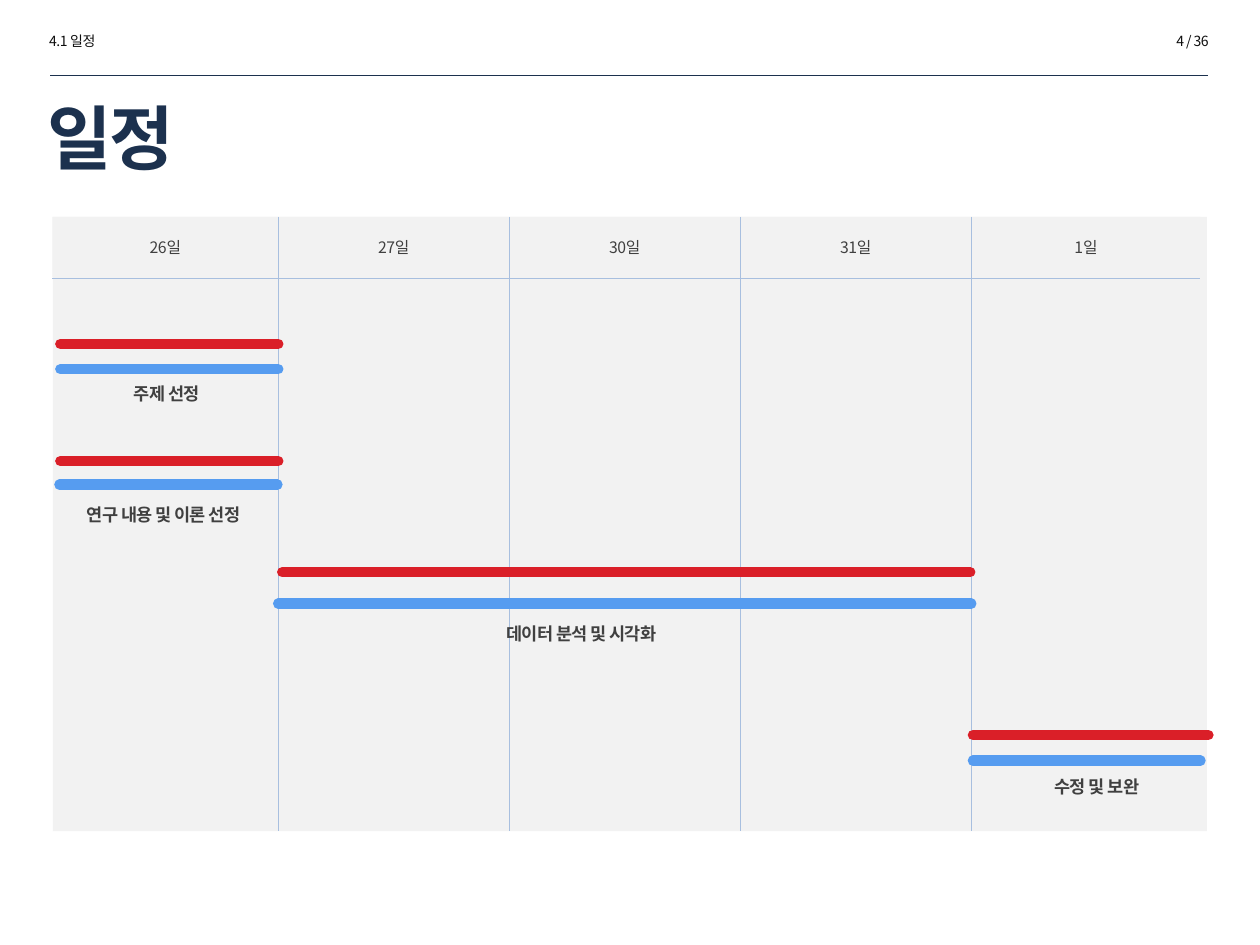
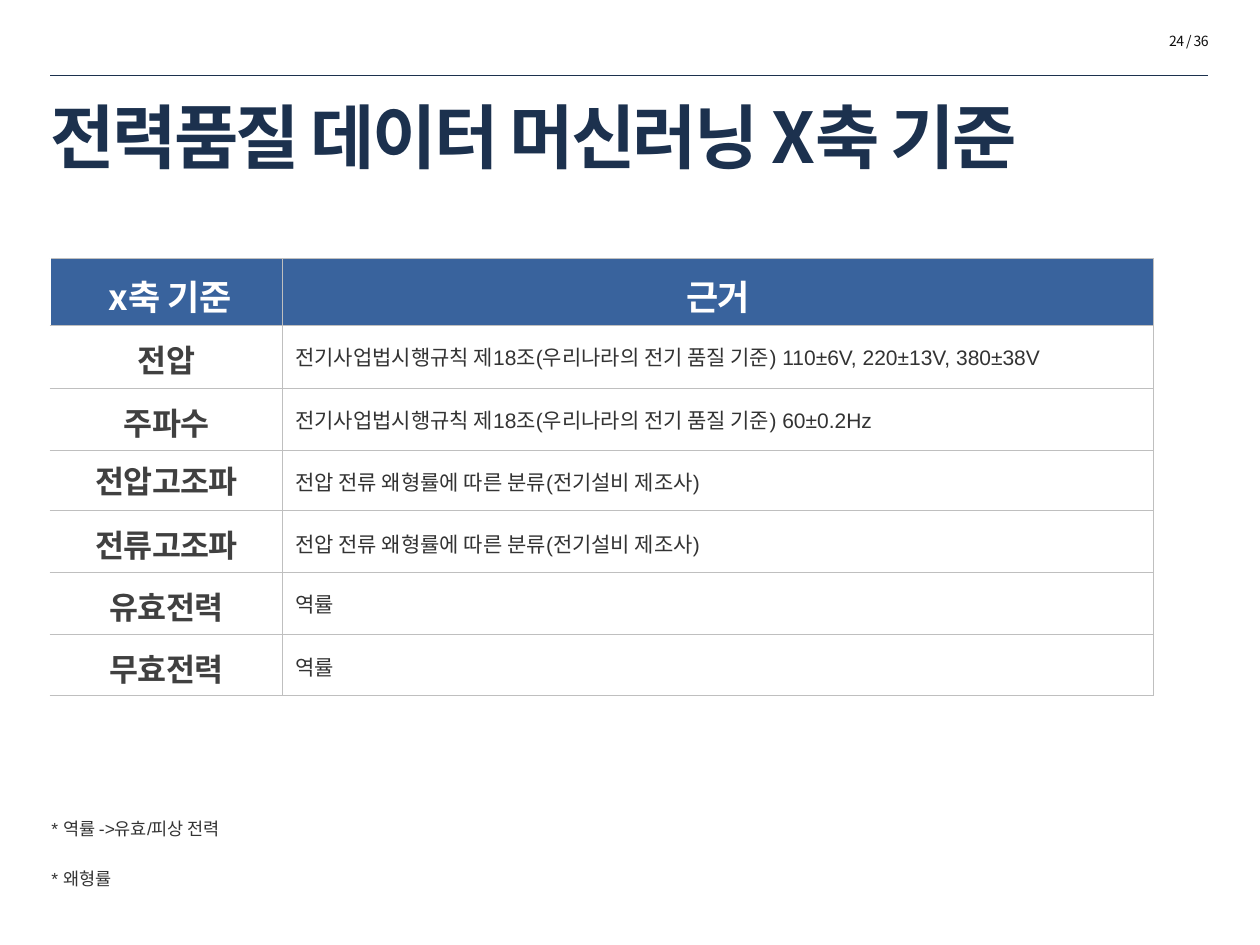
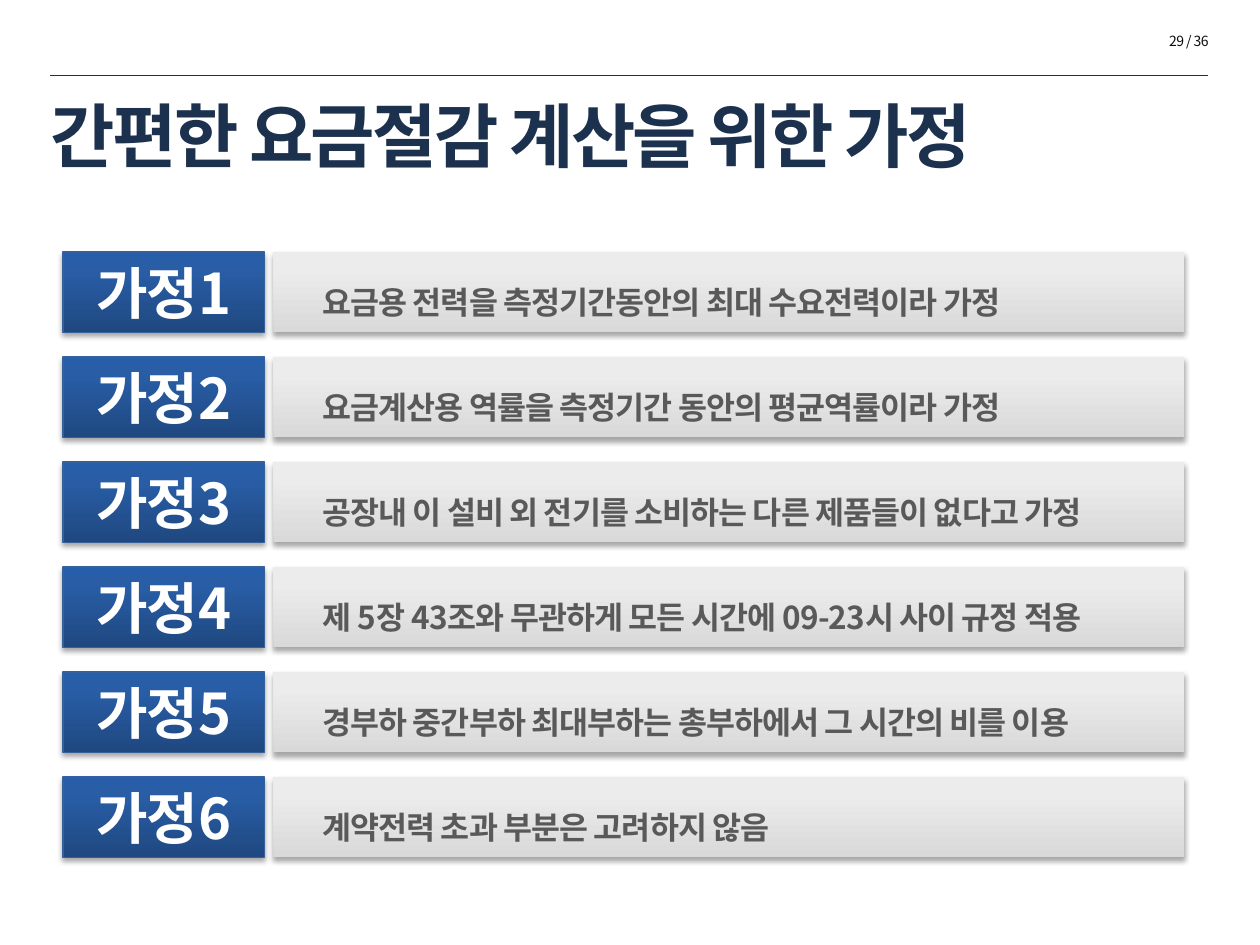
from dataclasses import dataclass, field
from pptx import Presentation, util as u
from pptx.dml.color import RGBColor
from pptx.enum import shapes, text
from pptx.oxml import parse_xml
from pptx.oxml.ns import nsdecls, qn

NOTO = "Noto Sans CJK KR"
LEFT, CENTER, RIGHT = text.PP_ALIGN.LEFT, text.PP_ALIGN.CENTER, text.PP_ALIGN.RIGHT
TOP, MIDDLE = text.MSO_ANCHOR.TOP, text.MSO_ANCHOR.MIDDLE


def style(size, color, bold=False, spacing=-0.3, name=NOTO):
    return dict(size=size, color=color, bold=bold, spacing=spacing, name=name)


@dataclass
class Theme:
    navy: str = "1C314E"
    panel: str = "F2F2F2"
    grid: str = "A8BFDF"
    planned: str = "DA1F28"
    actual: str = "569CF0"
    table_head: str = "39639D"
    table_line: str = "BFBFBF"
    label_edge: str = "35609C"
    label_fade: tuple = ((0, "1F4880"), (80, "295EA7"), (100, "265EAA"))
    statement_fade: tuple = ((0, "D9D9D9"), (80, "ECECEC"), (100, "ECECEC"))
    running: dict = field(default_factory=lambda: style(8, "0D0D0D"))
    title: dict = field(default_factory=lambda: style(40, "1C314E", True, -1.5))
    day: dict = field(default_factory=lambda: style(9, "404040"))
    task: dict = field(default_factory=lambda: style(10, "404040", True))
    note: dict = field(default_factory=lambda: style(10, "333333", False, 0, "Arial"))
    head: dict = field(default_factory=lambda: style(20, "FFFFFF", True))
    criterion: dict = field(default_factory=lambda: style(18, "404040", True))
    ground: dict = field(default_factory=lambda: style(12, "333333", False, 0, "Arial"))
    label: dict = field(default_factory=lambda: style(32, "FFFFFF", True, -0.5))
    statement: dict = field(default_factory=lambda: style(18, "595959", True, -0.5))


theme = Theme()


def write(frame, lines, look, anchor=TOP, wrap=True, **layout):
    frame.word_wrap = wrap
    frame.vertical_anchor = anchor
    for i, line in enumerate(lines):
        paragraph = frame.add_paragraph() if i else frame.paragraphs[0]
        for key, value in layout.items():
            setattr(paragraph, key, value)
        run = paragraph.add_run()
        run.text = line
        for key in ("name", "bold"):
            setattr(run.font, key, look[key])
        run.font.size = u.Pt(look["size"])
        run.font.color.rgb = RGBColor.from_string(look["color"])
        properties = run.font._element
        properties.set("spc", str(round(look["spacing"] * 100)))
        properties.find(qn("a:latin")).addnext(
            parse_xml(f'<a:ea {nsdecls("a")} typeface="{NOTO}"/>'))


def rule(slide, x1, y1, x2, y2, color, width, cap="flat"):
    line = slide.shapes.add_connector(
        shapes.MSO_CONNECTOR.STRAIGHT, *map(u.Pt, (x1, y1, x2, y2)))
    line.line.color.rgb = RGBColor.from_string(color)
    line.line.width = u.Pt(width)
    line.line._get_or_add_ln().set("cap", cap)
    line._element.spPr.append(parse_xml(f'<a:effectLst {nsdecls("a")}/>'))


prs = Presentation()
prs.slide_width, prs.slide_height = u.Pt(720), u.Pt(540)

pages = []
for number, title, title_box in (
    ("4 / 36", "일정", (20, 48, 668, 60)),
    ("24 / 36", "전력품질 데이터 머신러닝 X축 기준", (22, 54.5, 662, 46)),
    ("29 / 36", "간편한 요금절감 계산을 위한 가정", (22, 54, 662, 46)),
):
    page = prs.slides.add_slide(prs.slide_layouts[6])
    rule(page, 28.8, 43.2, 690.5, 43.2, theme.navy, 0.25)
    for words, box, look, anchor, align in (
        (number, (573, 15, 124.8, 17), theme.running, TOP, RIGHT),
        (title, title_box, theme.title, MIDDLE, LEFT),
    ):
        write(page.shapes.add_textbox(*map(u.Pt, box)).text_frame,
              [words], look, anchor, alignment=align)
    pages.append(page)
schedule, criteria, assumptions = pages

write(schedule.shapes.add_textbox(*map(u.Pt, (21, 15, 124.8, 17))).text_frame,
      ["4.1 일정"], theme.running)

chart_top, chart_bottom, head_height = 124, 475, 34.5
edges = [30, 159, 291, 423, 555, 686]
days = ["26일", "27일", "30일", "31일", "1일"]
areas = [((30.2, chart_top, 659.5, chart_bottom - chart_top), "")]
areas += [((start, chart_top, end - start, head_height), day)
          for start, end, day in zip(edges, edges[1:], days)]
for box, day in areas:
    area = schedule.shapes.add_shape(shapes.MSO_SHAPE.RECTANGLE, *map(u.Pt, box))
    area.shadow.inherit = False
    area.fill.solid()
    area.fill.fore_color.rgb = RGBColor.from_string(theme.panel)
    area.line.fill.background()
    if day:
        write(area.text_frame, [day], theme.day, MIDDLE, False, alignment=CENTER)

rule(schedule, 30, 159, 686, 159, theme.grid, 0.5)
for x in edges[1:-1]:
    rule(schedule, x, chart_top, x, chart_bottom, theme.grid, 0.75)

for task, box, align, planned, actual in (
    ("주제 선정", (45.4, 214, 100, 19.4), CENTER, (34.5, 159, 196.5), (34.5, 159, 211)),
    ("연구 내용 및 이론 선정", (42.5, 283, 107, 19.4), LEFT,
     (34.5, 159, 263.5), (34, 158.5, 277)),
    ("데이터 분석 및 시각화", (246.2, 351.4, 172, 19.4), CENTER,
     (161.3, 554.4, 327), (159, 555, 345)),
    ("수정 및 보완", (595.4, 438.5, 80, 19.4), LEFT, (556, 690.5, 420), (556, 686, 434.7)),
):
    write(schedule.shapes.add_textbox(*map(u.Pt, box)).text_frame,
          [task], theme.task, alignment=align, line_spacing=1.1)
    for (start, end, y), color in ((actual, theme.actual), (planned, theme.planned)):
        rule(schedule, start, y, end, y, color, 6, "rnd")

notes = criteria.shapes.add_textbox(*map(u.Pt, (22.3, 463.7, 273.6, 63.4))).text_frame
write(notes, ["* 역률 ->유효/피상 전력", "* 왜형률"], theme.note)
notes.paragraphs[1].space_before = u.Pt(17)

law = "전기사업법시행규칙 제18조(우리나라의 전기 품질 기준) "
distortion = "전압 전류 왜형률에 따른 분류(전기설비 제조사)"
rows = [
    (38, " x축 기준", 1.1, "근거", 1.1),
    (36, "전압", 1.1, law + "110±6V, 220±13V, 380±38V", 1.0),
    (35.4, "주파수", 1.1, law + "60±0.2Hz", 1.0),
    (34.5, "전압고조파", 1.0, distortion, 1.1),
    (35.4, "전류고조파", 1.1, distortion, 1.1),
    (35.4, "유효전력", 1.1, "역률", 1.0),
    (35, "무효전력", 1.1, "역률", 1.1),
]
table = criteria.shapes.add_table(
    len(rows), 2, *map(u.Pt, (28.8, 147.8, 630.5, 249.7))).table
table.first_row = table.horz_banding = False
for column, width in zip(table.columns, (132.8, 497.7)):
    column.width = u.Pt(width)
for r, (height, criterion, criterion_spacing, ground, ground_spacing) in enumerate(rows):
    table.rows[r].height = u.Pt(height)
    for c, (words, spacing, look) in enumerate((
        (criterion, criterion_spacing, theme.criterion),
        (ground, ground_spacing, theme.ground),
    )):
        cell = table.cell(r, c)
        cell.vertical_anchor = MIDDLE
        for side in ("lnL", "lnR", "lnT", "lnB")[c == 0:]:
            cell._tc.get_or_add_tcPr().append(parse_xml(
                f'<a:{side} {nsdecls("a")} w="{u.Pt(0.5)}"><a:solidFill>'
                f'<a:srgbClr val="{theme.table_line}"/></a:solidFill></a:{side}>'))
        if r == 0:
            cell.fill.solid()
            cell.fill.fore_color.rgb = RGBColor.from_string(theme.table_head)
        else:
            cell.fill.background()
        write(cell.text_frame, [words], theme.head if r == 0 else look, MIDDLE,
              alignment=CENTER if r == 0 or c == 0 else LEFT, line_spacing=spacing)

statements = [
    "요금용 전력을 측정기간동안의 최대 수요전력이라 가정",
    "요금계산용 역률을 측정기간 동안의 평균역률이라 가정",
    "공장내 이 설비 외 전기를 소비하는 다른 제품들이 없다고 가정",
    "제 5장 43조와 무관하게 모든 시간에 09-23시 사이 규정 적용",
    "경부하 중간부하 최대부하는 총부하에서 그 시간의 비를 이용",
    "계약전력 초과 부분은 고려하지 않음",
]
for i, statement in enumerate(statements):
    for words, left, width, fade, edge, look, align, spacing, indent in (
        (f"가정{i + 1}", 36, 115.2, theme.label_fade, theme.label_edge,
         theme.label, CENTER, 1.0, 0),
        (statement, 156.2, 520.6, theme.statement_fade, None,
         theme.statement, LEFT, 1.5, 21),
    ):
        band = assumptions.shapes.add_shape(
            shapes.MSO_SHAPE.RECTANGLE, *map(u.Pt, (left, 144 + 60 * i, width, 46)))
        if edge:
            band.line.color.rgb = RGBColor.from_string(edge)
            band.line.width = u.Pt(0.75)
        else:
            band.line.fill.background()
        band.fill.gradient()
        band.shadow.inherit = False
        properties = band._element.spPr
        stops = "".join(f'<a:gs pos="{at * 1000}"><a:srgbClr val="{color}"/></a:gs>'
                        for at, color in fade)
        properties.replace(properties.find(qn("a:gradFill")), parse_xml(
            f'<a:gradFill {nsdecls("a")} rotWithShape="1"><a:gsLst>{stops}</a:gsLst>'
            '<a:lin ang="16200000" scaled="0"/></a:gradFill>'))
        properties.find(qn("a:effectLst")).append(parse_xml(
            f'<a:outerShdw {nsdecls("a")} blurRad="{u.Pt(3.1)}" dist="{u.Pt(1.8)}" '
            'dir="5400000" rotWithShape="0"><a:srgbClr val="000000">'
            '<a:alpha val="35000"/></a:srgbClr></a:outerShdw>'))
        write(band.text_frame, [words], look, MIDDLE, alignment=align, line_spacing=spacing)
        band.text_frame.paragraphs[0]._p.get_or_add_pPr().set("marL", str(u.Pt(indent)))

prs.save("out.pptx")
